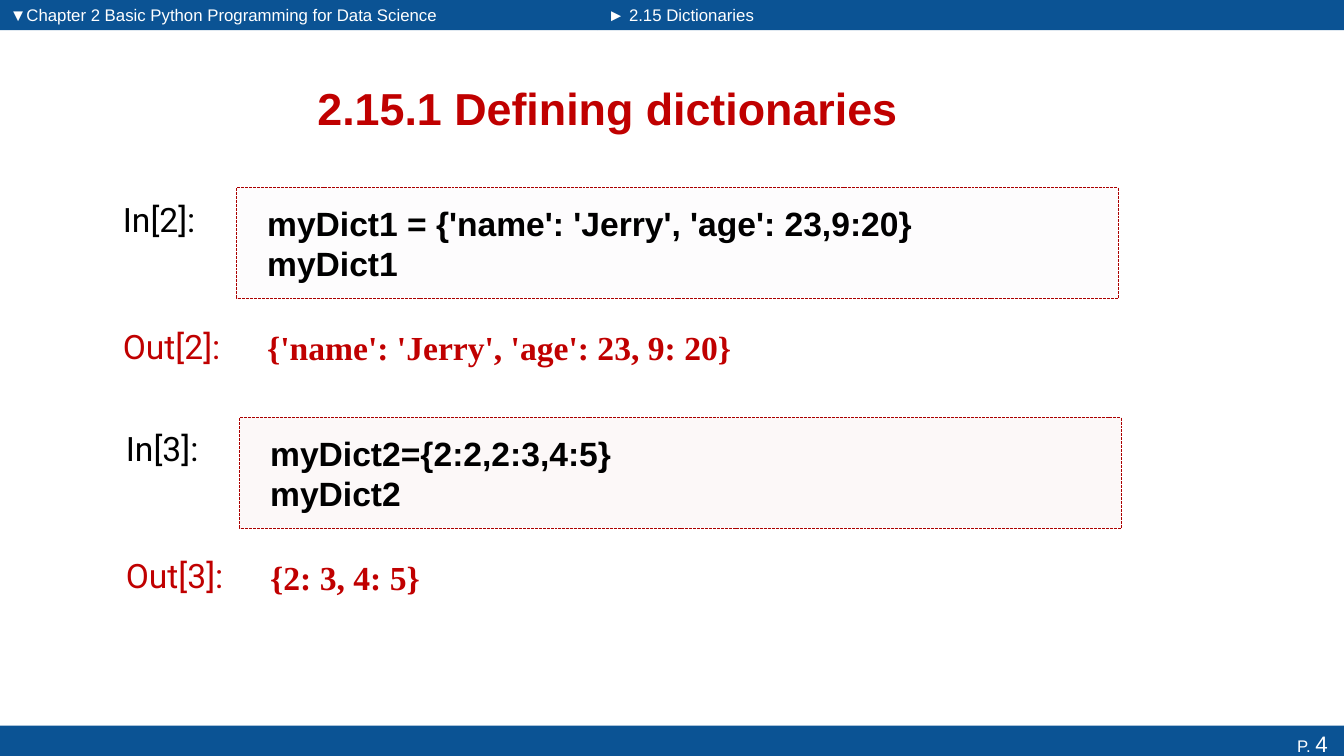
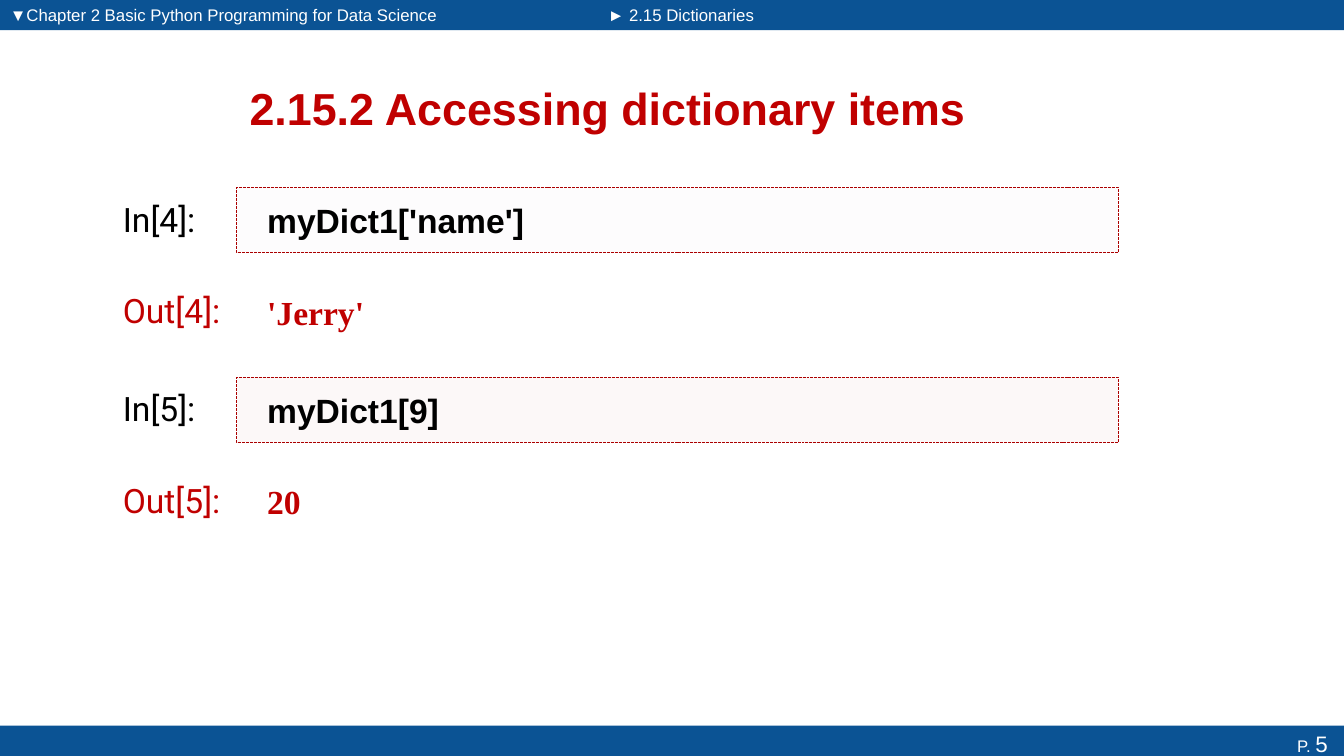
from pptx import Presentation
from pptx.dml.color import RGBColor
from pptx.enum.dml import MSO_LINE
from pptx.enum.shapes import MSO_SHAPE
from pptx.enum.text import MSO_ANCHOR, PP_ALIGN
from pptx.oxml.ns import qn
from pptx.util import Inches, Pt
from lxml.etree import SubElement

W, H = 13.33, 7.5
BLUE, RED, BORDER, BLACK, WHITE = "0B5394", "C00000", "AB0000", "000000", "FFFFFF"
TINTS = ["F1EEF4", "EDCDCB"]
TINT_ALPHA = 13

# Grid: header split, label and code columns, text rows
BAND_H = 0.04 * H
SPLIT = 5.93
LABEL_X, LABEL_H = 1.12, 0.5
CODE_X, CODE_W = 2.35, 8.74
FIRST_ROW, LABEL_DROP = 1.86, 0.06
ROW_PAD, ROW_LINE = 0.2, 0.45
CODE_INSETS = (0.3, 0.05, 0.1, 0.05)

CHAPTER = "▼Chapter 2 Basic Python Programming for Data Science"
SECTION = "► 2.15 Dictionaries"

# "pitch" is the step between cells, "gap" the space from code to output,
# "shift" the sideways step from one cell to the next.
SLIDES = [
    {"title": "2.15.1 Defining dictionaries", "page": 4,
     "pitch": 2.28, "gap": 0.16, "shift": 0.03,
     "cells": [
         (2, ["myDict1 = {'name': 'Jerry', 'age': 23,9:20}", "myDict1"],
          "{'name': 'Jerry', 'age': 23, 9: 20}"),
         (3, ["myDict2={2:2,2:3,4:5}", "myDict2"], "{2: 3, 4: 5}"),
     ]},
    {"title": "2.15.2 Accessing dictionary items", "page": 5,
     "pitch": 1.88, "gap": 0.26, "shift": 0,
     "cells": [
         (4, ["myDict1['name']"], "'Jerry'"),
         (5, ["myDict1[9]"], "20"),
     ]},
]


def rgb(color):
    return RGBColor.from_string(color)


def place(sp, x, y, w, h):
    sp.left, sp.top, sp.width, sp.height = map(Inches, (x, y, w, h))


def add_run(p, text, size=24, font="Arial", color=BLACK, bold=False):
    r = p.add_run()
    r.text = text
    r.font.size, r.font.name, r.font.bold = Pt(size), font, bold
    r.font.color.rgb = rgb(color)


def write(sp, lines, align=PP_ALIGN.LEFT, anchor=MSO_ANCHOR.MIDDLE,
          insets=(0.1, 0.05, 0.1, 0.05), **fmt):
    """Fill a shape with one paragraph per line."""
    tf = sp.text_frame
    tf.word_wrap = True
    tf.vertical_anchor = anchor
    tf.margin_left, tf.margin_top, tf.margin_right, tf.margin_bottom = map(Inches, insets)
    for i, line in enumerate(lines):
        p = tf.add_paragraph() if i else tf.paragraphs[0]
        p.alignment = align
        add_run(p, line, **fmt)


def add_text(shapes, lines, x, y, w, h, **fmt):
    write(shapes.add_textbox(*map(Inches, (x, y, w, h))), lines, **fmt)


def add_rect(shapes, x, y, w, h, fill, alpha=None):
    sp = shapes.add_shape(MSO_SHAPE.RECTANGLE, *map(Inches, (x, y, w, h)))
    sp.shadow.inherit = False
    sp.fill.solid()
    sp.fill.fore_color.rgb = rgb(fill)
    sp.line.fill.background()
    if alpha is not None:
        clr = sp.fill._xPr.find(qn("a:solidFill")).find(qn("a:srgbClr"))
        SubElement(clr, qn("a:alpha")).set("val", str(alpha * 1000))
    return sp


def add_bands(slide, page):
    shapes = slide.shapes
    for text, x, w in [(CHAPTER, 0, SPLIT), (SECTION, SPLIT, W - SPLIT)]:
        band = add_rect(shapes, x, 0, w, BAND_H, BLUE)
        write(band, [text], insets=(0.1, 0, 0.1, 0), size=12, color=WHITE)
    footer = add_rect(shapes, 0, H - BAND_H, W, BAND_H, BLUE)
    write(footer, ["P. "], align=PP_ALIGN.RIGHT, insets=(0.1, 0.06, 0.16, 0),
          size=12, color=WHITE)
    add_run(footer.text_frame.paragraphs[0], str(page), size=16, color=WHITE)


def add_title(slide, text):
    title = slide.shapes.title
    place(title, 0.05 * W, 0.62, 0.8 * W + 0.06, 0.12 * H)
    write(title, [text], align=PP_ALIGN.CENTER, size=32, color=RED, bold=True)


def add_cell(slide, number, code, output, top, gap, dx, tint):
    """Group a notebook input box with its output and both labels."""
    shapes = slide.shapes.add_group_shape().shapes
    code_h = ROW_PAD + ROW_LINE * len(code)
    out_top = top + code_h + gap
    for name, y, w, color in [("In", top, 1.11, BLACK), ("Out", out_top, 1.35, RED)]:
        add_text(shapes, [f"{name}[{number}]:"], LABEL_X + dx, y + LABEL_DROP, w, LABEL_H,
                 anchor=MSO_ANCHOR.TOP, font="Roboto", color=color)
    box = add_rect(shapes, CODE_X + dx, top, CODE_W, code_h, tint, TINT_ALPHA)
    box.line.color.rgb = rgb(BORDER)
    box.line.width = Pt(0.7)
    box.line.dash_style = MSO_LINE.SQUARE_DOT
    write(box, code, insets=CODE_INSETS, bold=True)
    add_text(shapes, [output], CODE_X + dx, out_top, CODE_W, ROW_PAD + ROW_LINE,
             insets=CODE_INSETS, font="Times New Roman", color=RED, bold=True)


def main():
    prs = Presentation()
    prs.slide_width, prs.slide_height = Inches(W), Inches(H)
    for content in SLIDES:
        slide = prs.slides.add_slide(prs.slide_layouts[5])
        add_bands(slide, content["page"])
        add_title(slide, content["title"])
        for i, (number, code, output) in enumerate(content["cells"]):
            add_cell(slide, number, code, output, FIRST_ROW + i * content["pitch"],
                     content["gap"], i * content["shift"], TINTS[i])
    prs.save("out.pptx")


if __name__ == "__main__":
    main()
